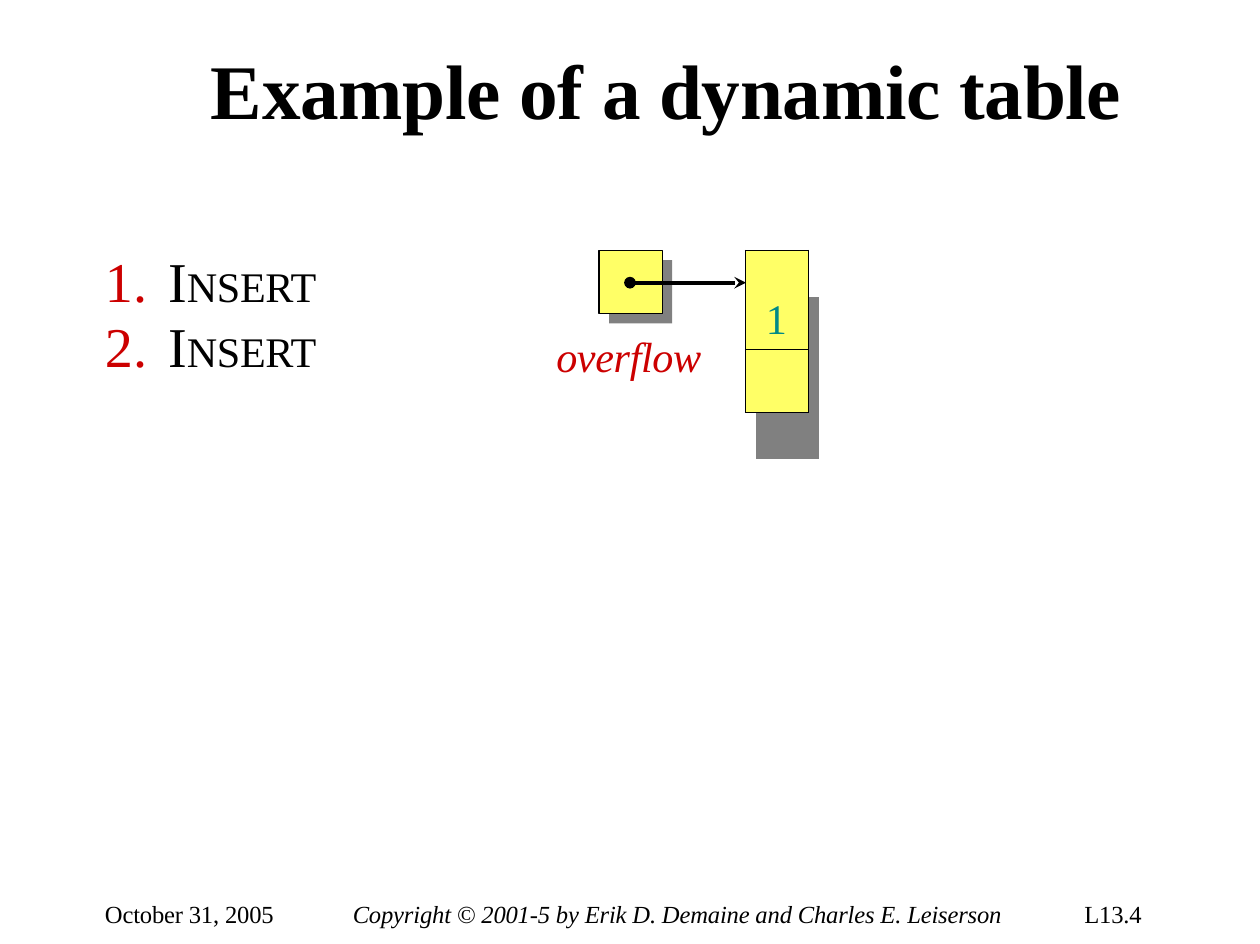
from dataclasses import dataclass

from lxml import etree
from pptx import Presentation, util as u
from pptx.dml import color
from pptx.enum import shapes, text
from pptx.oxml import ns


@dataclass(frozen=True)
class Theme:
    """Hold the colours, font and type sizes of the slide."""
    font: str = "Times New Roman"
    black: str = "000000"
    red: str = "CC0000"
    teal: str = "008A87"
    yellow: str = "FFFF66"
    grey: str = "808080"
    title: float = 44
    item: float = 32
    label: float = 24
    footer: float = 14
    thin: float = 0.75
    thick: float = 2.25


THEME = Theme()
TABLE_BLOCKS = ("AA.", "AAS", "BBS", ".SS")
BLOCK_FILLS = {"A": THEME.yellow, "B": THEME.yellow, "S": THEME.grey}
SIDES = {"a:lnL": (0, -1), "a:lnR": (0, 1), "a:lnT": (-1, 0), "a:lnB": (1, 0)}


def rgb(value):
    """Turn a hex string into a colour."""
    return color.RGBColor.from_string(value)


def add_element(parent, tag, **attributes):
    """Append a drawing element to its parent."""
    element = etree.SubElement(parent, ns.qn(tag))
    for name, value in attributes.items():
        element.set(name, str(value))
    return element


def format_run(run, size, colour=THEME.black, bold=False, italic=False, spacing=-20):
    """Give a run its font, colour and letter spacing."""
    font = run.font
    font.name, font.size = THEME.font, u.Pt(size)
    font.bold, font.italic = bold, italic
    font.color.rgb = rgb(colour)
    run._r.get_or_add_rPr().set("spc", str(spacing))


def add_text_box(slide, left, top, width, height):
    """Add a text box without margins and return its frame."""
    frame = slide.shapes.add_textbox(u.Cm(left), u.Cm(top), u.Cm(width), u.Cm(height)).text_frame
    frame.margin_left = frame.margin_right = frame.margin_top = frame.margin_bottom = 0
    frame.vertical_anchor = text.MSO_ANCHOR.TOP
    frame.word_wrap = True
    return frame


def add_label(slide, wording, left, top, width, height, size, **style):
    """Add a single line of text."""
    frame = add_text_box(slide, left, top, width, height)
    frame.text = wording
    format_run(frame.paragraphs[0].runs[0], size, **style)


def add_numbered_list(slide, items, left, top, width, height):
    """Add numbered items set in small capitals."""
    frame = add_text_box(slide, left, top, width, height)
    for index, item in enumerate(items):
        paragraph = frame.add_paragraph() if index else frame.paragraphs[0]
        if index:
            paragraph.line_spacing = u.Pt(37.1)
        for letters, size in ((item[0], THEME.item), (item[1:], THEME.label)):
            run = paragraph.add_run()
            run.text = letters
            format_run(run, size)
        properties = paragraph._p.get_or_add_pPr()
        properties.set("marL", str(u.Cm(1.32)))
        properties.set("indent", str(u.Cm(-1.27)))
        bullet_colour = add_element(properties, "a:buClr")
        add_element(bullet_colour, "a:srgbClr", val=THEME.red)
        add_element(properties, "a:buFont", typeface=THEME.font)
        add_element(properties, "a:buAutoNum", type="arabicPeriod")


def add_square(slide, left, top, size, fill, outlined):
    """Add a filled square, outlined or plain."""
    square = slide.shapes.add_shape(
        shapes.MSO_SHAPE.RECTANGLE, u.Cm(left), u.Cm(top), u.Cm(size), u.Cm(size))
    square.shadow.inherit = False
    square.fill.solid()
    square.fill.fore_color.rgb = rgb(fill)
    if outlined:
        square.line.color.rgb = rgb(THEME.black)
        square.line.width = u.Pt(THEME.thin)
    else:
        square.line.fill.background()


def add_pointer(slide, start, end, height):
    """Add a horizontal arrow that starts with a dot."""
    pointer = slide.shapes.add_connector(
        shapes.MSO_CONNECTOR.STRAIGHT, u.Cm(start), u.Cm(height), u.Cm(end), u.Cm(height))
    pointer.line.color.rgb = rgb(THEME.black)
    pointer.line.width = u.Pt(THEME.thick)
    line = pointer.line._get_or_add_ln()
    add_element(line, "a:headEnd", type="oval")
    add_element(line, "a:tailEnd", type="stealth")
    add_element(pointer._element.spPr, "a:effectLst")


def block_at(row, column):
    """Return the block that owns a grid position."""
    inside = 0 <= row < len(TABLE_BLOCKS) and 0 <= column < len(TABLE_BLOCKS[0])
    return TABLE_BLOCKS[row][column] if inside else "."


def format_cell(cell, row, column):
    """Fill a cell and draw borders where a yellow block ends."""
    block = block_at(row, column)
    cell.margin_left = cell.margin_right = cell.margin_top = cell.margin_bottom = 0
    properties = cell._tc.get_or_add_tcPr()
    for tag, (down, across) in SIDES.items():
        neighbour = block_at(row + down, column + across)
        border = add_element(properties, tag, w=u.Pt(THEME.thin))
        if block != neighbour and {block, neighbour} & {"A", "B"}:
            add_element(add_element(border, "a:solidFill"), "a:srgbClr", val=THEME.black)
        else:
            add_element(border, "a:noFill")
    if block in BLOCK_FILLS:
        cell.fill.solid()
        cell.fill.fore_color.rgb = rgb(BLOCK_FILLS[block])
    else:
        cell.fill.background()


def add_dynamic_table(slide, left, top, widths, heights):
    """Add the two-slot table with its shadow."""
    table = slide.shapes.add_table(
        len(heights), len(widths), u.Cm(left), u.Cm(top),
        u.Cm(sum(widths)), u.Cm(sum(heights))).table
    table.first_row = table.horz_banding = False
    for column, width in zip(table.columns, widths):
        column.width = u.Cm(width)
    for row, height in zip(table.rows, heights):
        row.height = u.Cm(height)
    for row in range(len(heights)):
        for column in range(len(widths)):
            format_cell(table.cell(row, column), row, column)
    slot = table.cell(1, 1)
    slot.text_frame.text = "1"
    paragraph = slot.text_frame.paragraphs[0]
    paragraph._p.get_or_add_pPr().set("marL", str(u.Cm(0.2)))
    format_run(paragraph.runs[0], THEME.label, THEME.teal, spacing=0)


def main():
    """Build the slide and save it."""
    presentation = Presentation()
    presentation.slide_width, presentation.slide_height = u.Cm(25.32), u.Cm(18.97)
    slide = presentation.slides.add_slide(presentation.slide_layouts[6])

    add_label(slide, "Example of a dynamic table", 4.24, 0.86, 20, 1.85, THEME.title, bold=True)
    add_numbered_list(slide, ("INSERT", "INSERT"), 2.06, 4.95, 4.45, 2.7)

    add_square(slide, 12.24, 5.23, 1.27, THEME.grey, outlined=False)
    add_square(slide, 12.04, 5.03, 1.27, THEME.yellow, outlined=True)
    add_label(slide, "overflow", 11.18, 6.63, 3.2, 1.04, THEME.label, colour=THEME.red, italic=True)
    add_dynamic_table(slide, 14.98, 5.03, (0.21, 1.06, 0.21), (0.94, 1.05, 1.27, 0.94))
    add_pointer(slide, 12.66, 14.99, 5.68)

    footers = (
        ("October 31, 2005", 2.11, 4, False),
        ("Copyright © 2001-5 by Erik D. Demaine and Charles E. Leiserson", 7.09, 14, True),
        ("L13.4", 21.79, 2, False),
    )
    for wording, left, width, italic in footers:
        add_label(slide, wording, left, 18.06, width, 0.64, THEME.footer, italic=italic, spacing=-10)

    presentation.save("out.pptx")


if __name__ == "__main__":
    main()
